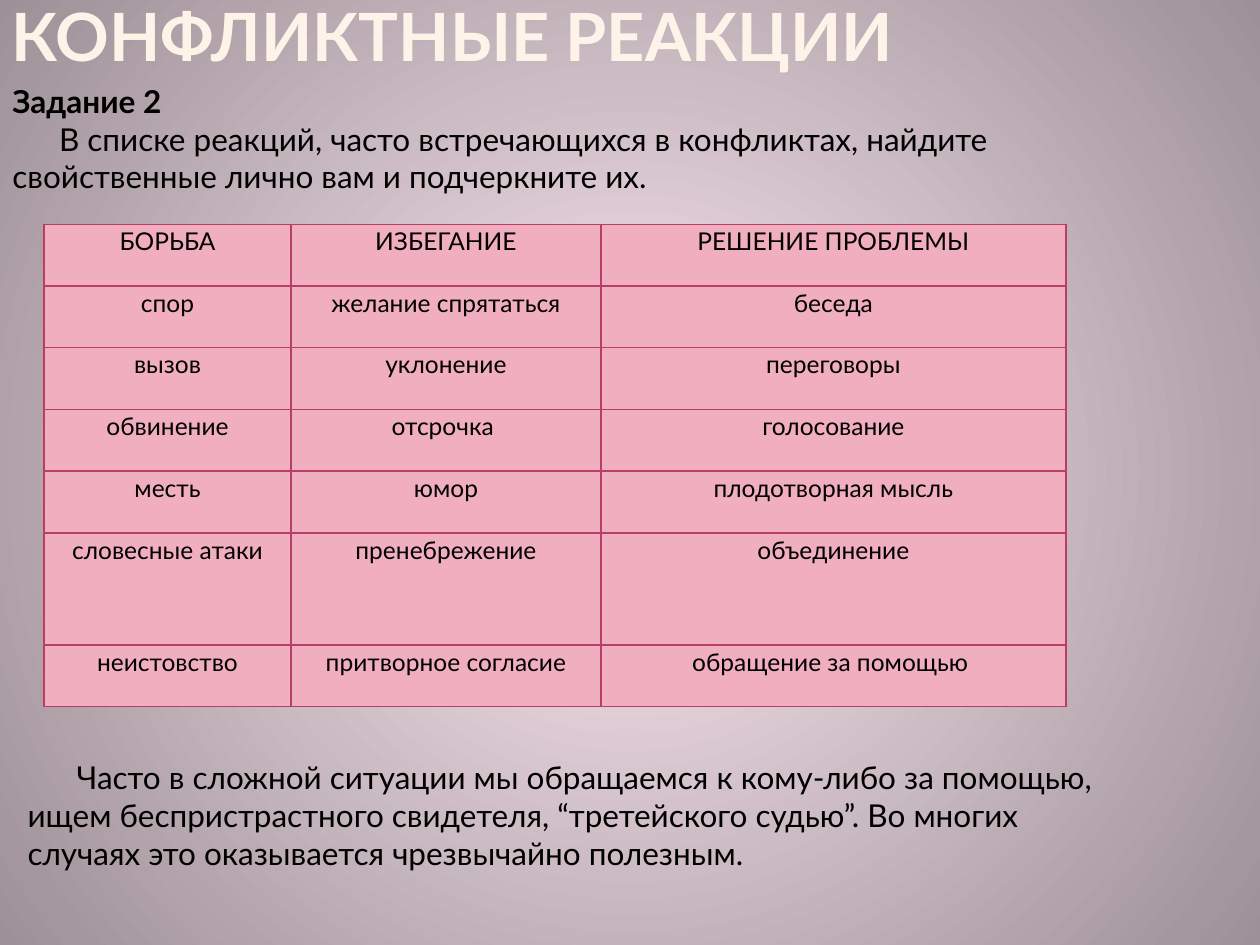
from lxml import etree
from pptx import Presentation
from pptx.dml.color import RGBColor
from pptx.enum import text as t
from pptx.oxml import ns
from pptx.util import Inches, Pt

FONT = "Lato"
BLACK = RGBColor(0x00, 0x00, 0x00)
CREAM = RGBColor(0xFE, 0xF3, 0xE8)
PINK = RGBColor(0xF0, 0xAE, 0xBE)
ROSE = RGBColor(0xB8, 0x3D, 0x68)
LIGHT = RGBColor(0xFC, 0xE7, 0xF1)
DARK = RGBColor(0x9D, 0x90, 0x96)


def add_run(para, words, size, color=BLACK, bold=False):
    run = para.add_run()
    run.text = words
    font = run.font
    font.name, font.size, font.bold = FONT, Pt(size), bold
    font.color.rgb = color


def add_box(left, top, width, height):
    box = slide.shapes.add_textbox(*map(Inches, (left, top, width, height)))
    frame = box.text_frame
    frame.word_wrap = True
    return frame


deck = Presentation()
deck.slide_width, deck.slide_height = Inches(10), Inches(7.5)
slide = deck.slides.add_slide(deck.slide_layouts[6])

# Background: light centre, dark corners
fill = slide.background.fill
fill.gradient()
for stop, color, place in zip(fill.gradient_stops, (LIGHT, DARK), (0, 1)):
    stop.color.rgb = color
    stop.position = place
grad = slide.element.find(".//" + ns.qn("a:gradFill"))
line = grad.find(ns.qn("a:lin"))
round_ = etree.Element(ns.qn("a:path"), path="circle")
etree.SubElement(round_, ns.qn("a:fillToRect"), dict.fromkeys("ltrb", "50000"))
grad.replace(line, round_)

# Title
title = add_box(0.04, -0.66, 7.92, 1.25)
title.vertical_anchor = t.MSO_ANCHOR.BOTTOM
title.margin_left = title.margin_right = Inches(0.05)
title.margin_top = title.margin_bottom = 0
add_run(title.paragraphs[0], "КОНФЛИКТНЫЕ РЕАКЦИИ", 38, CREAM, True)

# Task
task = add_box(0, 0.6, 8.78, 1.62)
add_run(task.paragraphs[0], "Задание 2", 18, bold=True)
para = task.add_paragraph()
para._p.get_or_add_pPr().set("indent", str(Inches(0.37)))
add_run(para, "В списке реакций, часто встречающихся в конфликтах, "
        "найдите свойственные лично вам и подчеркните их.", 18)

# Table of reactions
ROWS = [
    ("БОРЬБА", "ИЗБЕГАНИЕ", "РЕШЕНИЕ ПРОБЛЕМЫ"),
    ("спор", "желание спрятаться", "беседа"),
    ("вызов", "уклонение", "переговоры"),
    ("обвинение", "отсрочка ", "голосование"),
    ("месть", "юмор", "плодотворная мысль"),
    ("словесные атаки", "пренебрежение", "объединение"),
    ("неистовство", "притворное согласие", "обращение за помощью "),
]
WIDTHS = (1.96, 2.46, 3.69)
TALL = 5
table = slide.shapes.add_table(len(ROWS), len(WIDTHS), Inches(0.35), Inches(1.78),
                               Inches(8.11), Inches(3.86)).table
for col, width in zip(table.columns, WIDTHS):
    col.width = Inches(width)
for r, words in enumerate(ROWS):
    table.rows[r].height = Inches(0.89 if r == TALL else 0.49)
    for c, word in enumerate(words):
        cell = table.cell(r, c)
        cell.margin_left = cell.margin_right = Inches(0.07)
        cell.margin_top = cell.margin_bottom = 0
        para = cell.text_frame.paragraphs[0]
        para.alignment = t.PP_ALIGN.CENTER
        para.line_spacing = 1.07
        add_run(para, word, 14)
        # Borders come before the fill in the cell properties
        props = cell._tc.get_or_add_tcPr()
        for side in ("lnL", "lnR", "lnT", "lnB"):
            edge = etree.SubElement(props, ns.qn("a:" + side), w=str(Pt(0.9)))
            solid = etree.SubElement(edge, ns.qn("a:solidFill"))
            etree.SubElement(solid, ns.qn("a:srgbClr"), val=str(ROSE))
        cell.fill.solid()
        cell.fill.fore_color.rgb = PINK

# Closing remark
note = add_box(0.12, 5.97, 8.78, 1.01)
para = note.paragraphs[0]
para._p.get_or_add_pPr().set("indent", str(Inches(0.39)))
add_run(para, "Часто в сложной ситуации мы обращаемся к кому-либо за помощью, "
        "ищем беспристрастного свидетеля, “третейского судью”. Во многих "
        "случаях это оказывается чрезвычайно полезным.", 18)

deck.save("out.pptx")
